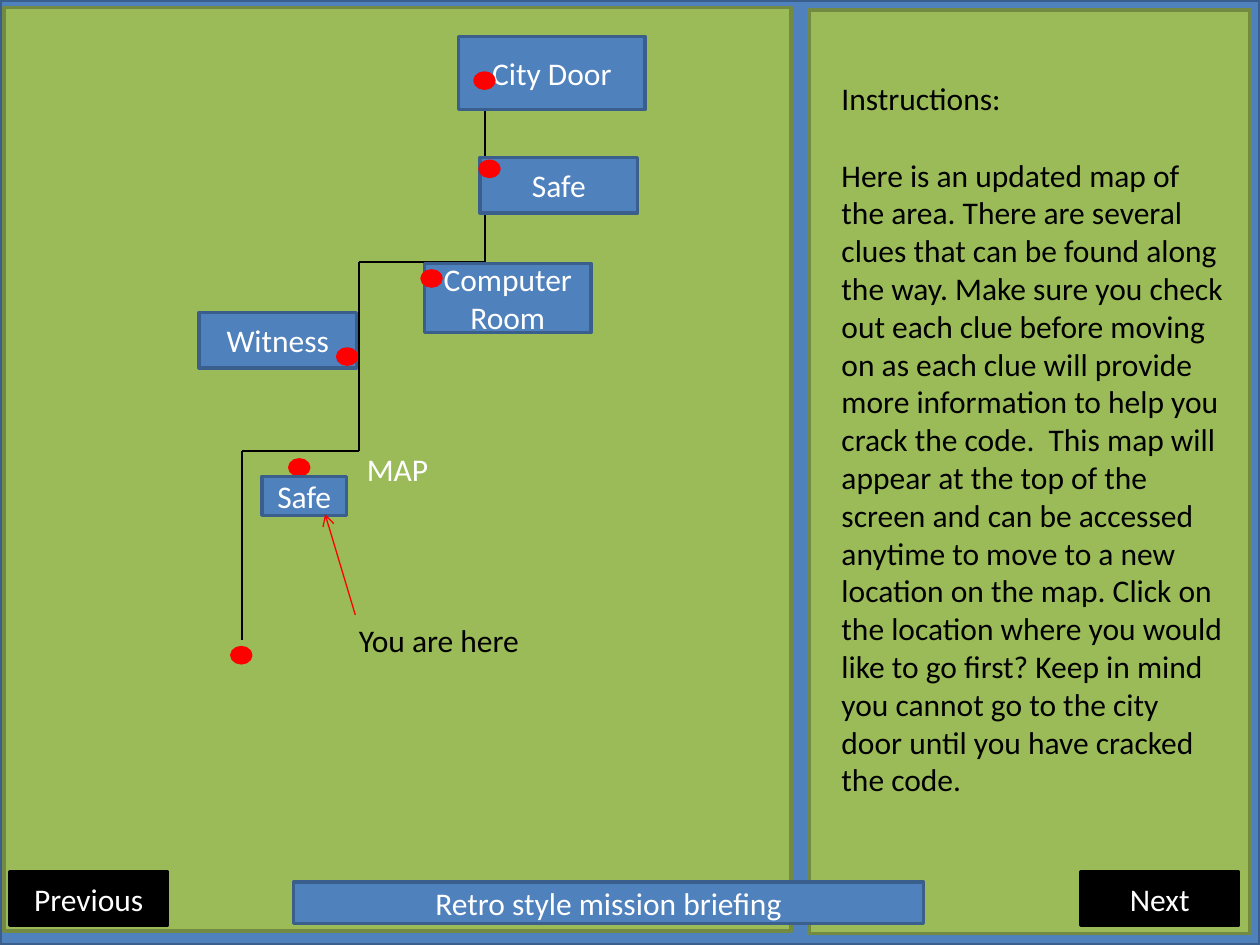
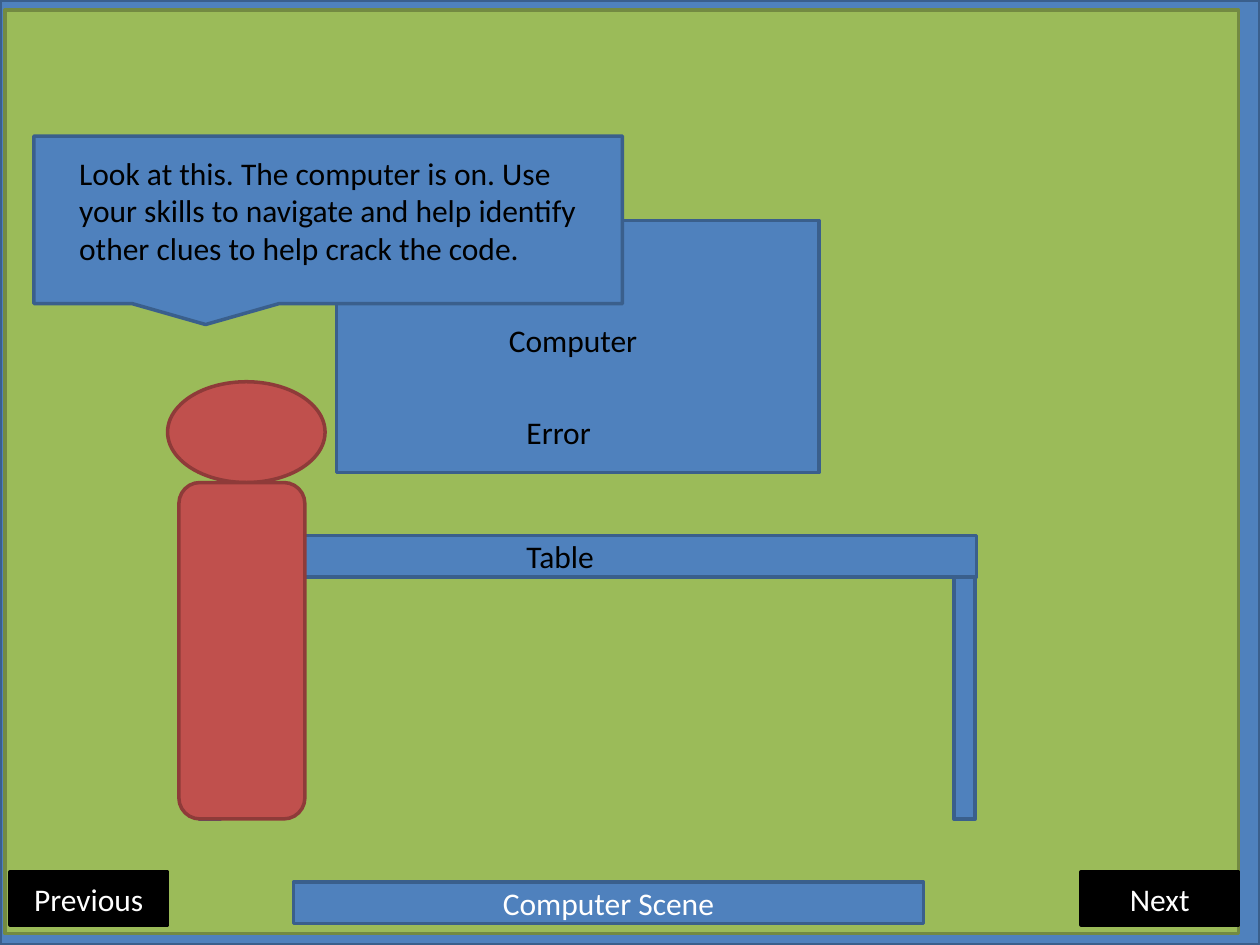
import itertools

import lxml.etree
import pptx
import pptx.dml.color
import pptx.enum.shapes
import pptx.enum.text
import pptx.oxml.ns
import pptx.util

COLOURS = {
    "blue": "4F81BD", "blue_edge": "3A5F8C",
    "green": "9BBB59", "green_edge": "738A42",
    "brick": "C0504D", "brick_edge": "8E3B39",
    "black": "000000", "white": "FFFFFF", "red": "FF0000",
}
EDGES = {"blue": "blue_edge", "green": "green_edge", "brick": "brick_edge"}
TEXT_FORMAT = {"name": "Calibri", "size": pptx.util.Pt(18)}
SHAPES = pptx.enum.shapes.MSO_SHAPE
ALIGN = pptx.enum.text.PP_ALIGN
DOT_SIZE = (0.15, 0.12)
LEG_SIZE = (0.17, 1.92)
BLANK_LINE = pptx.util.Pt(22)

INSTRUCTIONS = [
    "Instructions:",
    "Here is an updated map of the area. There are several clues that can be found "
    "along the way. Make sure you check out each clue before moving on as each clue "
    "will provide more information to help you crack the code.  This map will appear "
    "at the top of the screen and can be accessed anytime to move to a new location "
    "on the map. Click on the location where you would like to go first? Keep in mind "
    "you cannot go to the city door until you have cracked the code.",
]
SPEECH = ("Look at this. The computer is on. Use your skills to navigate and help "
          "identify other clues to help crack the code.")


def colour(name):
    """Return the named colour of the deck."""
    return pptx.dml.color.RGBColor.from_string(COLOURS[name])


def inside(box, left, top, *size):
    """Move a place given relative to a box onto the page."""
    return (box[0] + left, box[1] + top, *size)


def write(frame, paragraphs, ink, align):
    """Fill a text frame, with one blank line's space between paragraphs."""
    frame.word_wrap = True
    for index, words in enumerate(paragraphs):
        para = frame.add_paragraph() if index else frame.paragraphs[0]
        para.alignment = align
        if index:
            para.space_before = BLANK_LINE
        span = para.add_run()
        span.text = words
        for key, value in TEXT_FORMAT.items():
            setattr(span.font, key, value)
        span.font.color.rgb = colour(ink)


def add_block(page, box, fill="blue", words=None, preset=SHAPES.RECTANGLE):
    """Draw a filled shape with its matching edge and optional centred words."""
    block = page.shapes.add_shape(preset, *map(pptx.util.Inches, box))
    block.shadow.inherit = False
    block.fill.solid()
    block.fill.fore_color.rgb = colour(fill)
    block.line.color.rgb = colour(EDGES.get(fill, fill))
    block.line.width = pptx.util.Pt(2)
    if words:
        block.text_frame.vertical_anchor = pptx.enum.text.MSO_ANCHOR.MIDDLE
        write(block.text_frame, [words], "white", ALIGN.CENTER)


def add_label(page, box, *paragraphs):
    """Add black left-aligned text that fits its box."""
    label = page.shapes.add_textbox(*map(pptx.util.Inches, box))
    label.text_frame.auto_size = pptx.enum.text.MSO_AUTO_SIZE.SHAPE_TO_FIT_TEXT
    write(label.text_frame, paragraphs, "black", ALIGN.LEFT)


def add_line(page, start, end, ink="black", arrow=False):
    """Draw a thin straight line, with an arrowhead at its end if asked."""
    line = page.shapes.add_connector(
        pptx.enum.shapes.MSO_CONNECTOR.STRAIGHT, *map(pptx.util.Inches, (*start, *end)))
    line.line.color.rgb = colour(ink)
    line.line.width = pptx.util.Pt(0.75)
    properties = line._element.spPr
    if arrow:
        stroke = properties.find(pptx.oxml.ns.qn("a:ln"))
        lxml.etree.SubElement(stroke, pptx.oxml.ns.qn("a:tailEnd"), type="arrow")
    lxml.etree.SubElement(properties, pptx.oxml.ns.qn("a:effectLst"))


def add_dot(page, box, place):
    """Mark a stop on the map."""
    add_block(page, inside(box, *place, *DOT_SIZE), "red",
              preset=SHAPES.FLOWCHART_CONNECTOR)


def start_page(deck):
    """Add a blank page with the blue backdrop."""
    page = deck.slides.add_slide(deck.slide_layouts[6])
    add_block(page, (0, 0, 10, 7.5))
    return page


def add_footer(page, box, title):
    """Draw the navigation buttons and the title banner."""
    add_block(page, inside(box, 0, 0, 1.25, 0.42), "black", "Previous")
    add_block(page, inside(box, 2.25, 0.08, 5, 0.33), words=title)
    add_block(page, inside(box, 8.5, 0, 1.25, 0.42), "black", "Next")


def add_map(page, box):
    """Draw the map with its route, stops and rooms."""
    add_block(page, box, "green", "MAP")
    route = [(1.89, 5.02), (1.89, 3.52), (2.82, 3.52),
             (2.82, 2.02), (3.82, 2.02), (3.82, 0.52)]
    for start, end in itertools.pairwise(route):
        add_line(page, inside(box, *start), inside(box, *end))
    add_dot(page, box, (2.27, 3.59))
    rooms = {
        (2.05, 3.72, 0.67, 0.31): "Safe",
        (3.34, 2.03, 1.32, 0.55): "Computer Room",
        (1.55, 2.42, 1.25, 0.44): "Witness",
        (3.61, 0.23, 1.48, 0.58): "City Door",
        (3.78, 1.19, 1.25, 0.44): "Safe",
    }
    for place, room in rooms.items():
        add_block(page, inside(box, *place), words=room)
    for place in [(1.81, 5.08), (2.65, 2.71), (3.74, 0.52), (3.32, 2.09), (3.78, 1.22)]:
        add_dot(page, box, place)
    add_label(page, inside(box, 2.72, 4.82, 1.66, 0.4), "You are here")
    add_line(page, inside(box, 2.79, 4.82), inside(box, 2.55, 4.02), "red", arrow=True)


def add_instructions(page, box):
    """Draw the side panel of instructions."""
    add_block(page, box, "green")
    add_label(page, inside(box, 0.16, 0.5, 3.25, 5.86), *INSTRUCTIONS)


def add_desk(page, box):
    """Draw the table and the computer standing on it."""
    add_block(page, inside(box, 0, 2.5, 6.17, 0.33))
    for left in (0, 5.99):
        add_block(page, inside(box, left, 2.83, *LEG_SIZE))
    add_block(page, inside(box, 1.09, 0, 3.83, 2))
    add_label(page, inside(box, 2.36, 0.75, 2, 0.4), "Computer")
    add_label(page, inside(box, 2.5, 1.48, 2.33, 0.4), "Error")
    add_label(page, inside(box, 2.5, 2.46, 2, 0.4), "Table")


def add_speaker(page, box):
    """Draw the figure and its speech bubble."""
    add_block(page, inside(box, 1.06, 1.95, 1.25, 0.8), "brick", preset=SHAPES.OVAL)
    add_block(page, inside(box, 1.15, 2.75, 1, 2.67), "brick",
              preset=SHAPES.ROUNDED_RECTANGLE)
    add_block(page, inside(box, 0, 0, 4.67, 1.33), preset=SHAPES.RECTANGULAR_CALLOUT)
    add_label(page, inside(box, 0.26, 0.09, 4.42, 1.01), SPEECH)


def main():
    """Build the two pages and save the deck."""
    deck = pptx.Presentation()
    deck.slide_width = pptx.util.Inches(10)
    deck.slide_height = pptx.util.Inches(7.5)
    footer = (0.08, 6.92)

    briefing = start_page(deck)
    add_map(briefing, (0.03, 0.06, 6.25, 7.33))
    add_instructions(briefing, (6.42, 0.08, 3.5, 7.33))
    add_footer(briefing, footer, "Retro style mission briefing")

    scene = start_page(deck)
    add_block(scene, (0.04, 0.08, 9.79, 7.33), "green")
    add_desk(scene, (1.58, 1.75))
    add_speaker(scene, (0.27, 1.08))
    add_footer(scene, footer, "Computer Scene")

    deck.save("out.pptx")


if __name__ == "__main__":
    main()
